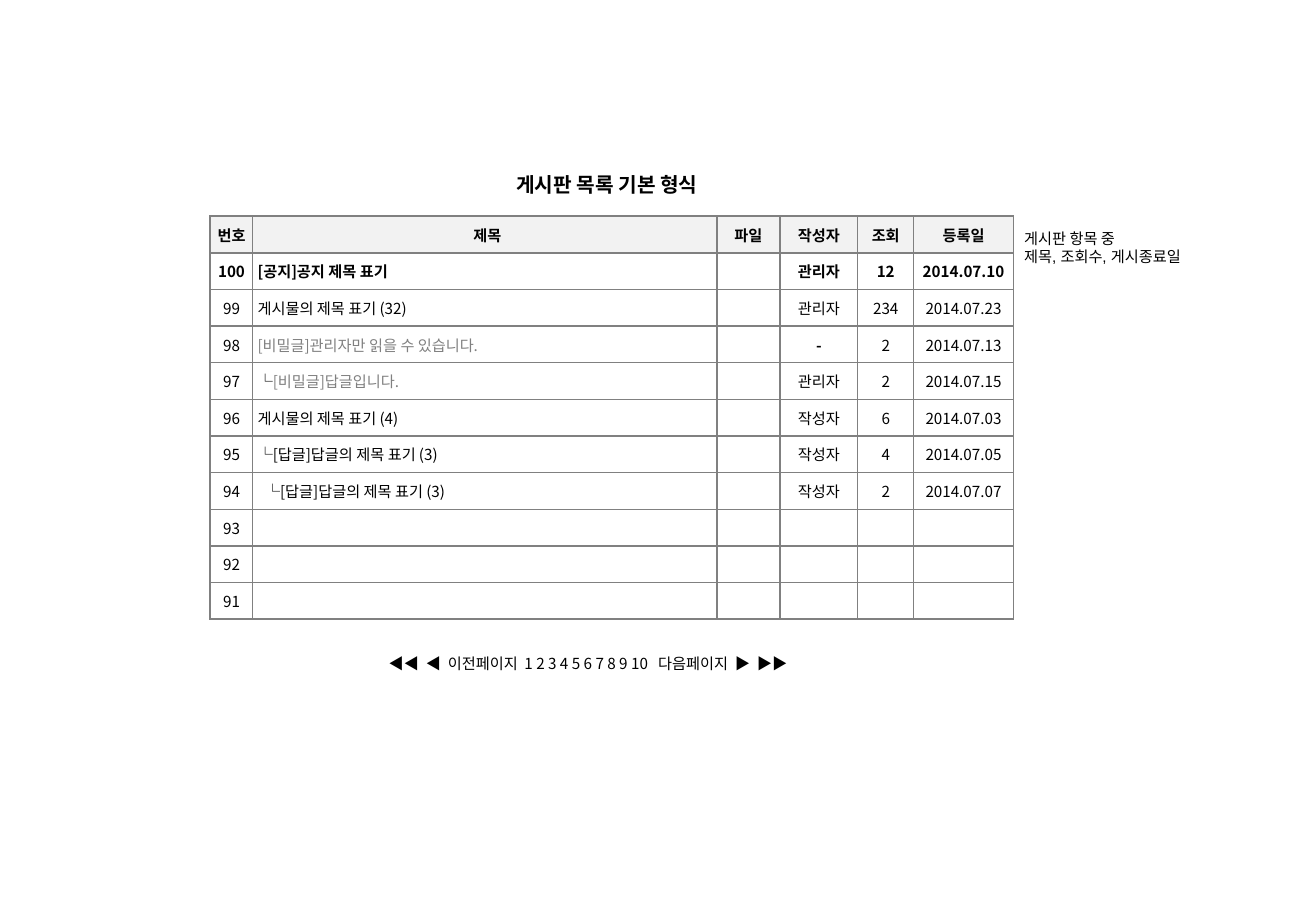
"""Build a slide showing the basic layout of a bulletin board list."""
from dataclasses import dataclass

from lxml import etree
from pptx import Presentation
from pptx.dml.color import RGBColor
from pptx.enum.text import MSO_ANCHOR, MSO_AUTO_SIZE, PP_ALIGN
from pptx.oxml.ns import qn
from pptx.util import Inches, Pt

LEFT, CENTER = PP_ALIGN.LEFT, PP_ALIGN.CENTER
MIDDLE = MSO_ANCHOR.MIDDLE
FIT_SHAPE = MSO_AUTO_SIZE.SHAPE_TO_FIT_TEXT

BLACK = RGBColor(0x00, 0x00, 0x00)
GRAY = RGBColor(0x80, 0x80, 0x80)
HEADER_FILL = RGBColor(0xF2, 0xF2, 0xF2)
WHITE = RGBColor(0xFF, 0xFF, 0xFF)

KOREAN = "Noto Sans CJK KR"
BODY_SIZE = 9
SUBJECT_COLUMN = 1
REPLY_MARK = "└"


@dataclass(frozen=True)
class Caption:
    lines: tuple[str, ...]
    left: float
    top: float
    width: float
    height: float
    size: int = BODY_SIZE
    bold: bool = False
    latin: str = KOREAN
    spacing: float = 1.3


@dataclass(frozen=True)
class Post:
    number: str
    subject: str = ""
    author: str = ""
    views: str = ""
    date: str = ""
    depth: int = 0
    secret: bool = False
    notice: bool = False


CAPTIONS = (
    Caption(("게시판 목록 기본 형식",), 4.15, 1.31, 1.9, 0.36, size=12, bold=True),
    Caption(("◀◀  ◀  이전페이지  1 2 3 4 5 6 7 8 9 10   다음페이지  ▶  ▶▶",),
            3.1, 5.29, 4, 0.3),
    Caption(("게시판 항목 중", "제목, 조회수, 게시종료일"),
            8.33, 1.84, 1.61, 0.4, latin="Arial", spacing=1.0),
)

HEADINGS = ("번호", "제목", "파일", "작성자", "조회", "등록일")
COLUMN_WIDTHS = (0.35, 3.82, 0.52, 0.64, 0.46, 0.82)
TABLE_LEFT, TABLE_TOP, TABLE_HEIGHT = 1.73, 1.78, 3.32

POSTS = (
    Post("100", "[공지]공지 제목 표기", "관리자", "12", "2014.07.10", notice=True),
    Post("99", "게시물의 제목 표기 (32)", "관리자", "234", "2014.07.23"),
    Post("98", "[비밀글]관리자만 읽을 수 있습니다.", "-", "2", "2014.07.13", secret=True),
    Post("97", "[비밀글]답글입니다.", "관리자", "2", "2014.07.15", depth=1, secret=True),
    Post("96", "게시물의 제목 표기 (4)", "작성자", "6", "2014.07.03"),
    Post("95", "[답글]답글의 제목 표기 (3)", "작성자", "4", "2014.07.05", depth=1),
    Post("94", "[답글]답글의 제목 표기 (3)", "작성자", "2", "2014.07.07", depth=2),
    Post("93"),
    Post("92"),
    Post("91"),
)


def style_paragraph(paragraph, size: int, bold: bool = False, latin: str = KOREAN) -> None:
    font = paragraph.font
    font.size, font.bold, font.name = Pt(size), bold, latin
    font.color.rgb = BLACK
    east_asian = etree.Element(qn("a:ea"), typeface=KOREAN)
    font._element.find(qn("a:latin")).addnext(east_asian)


def add_caption(slide, caption: Caption) -> None:
    box = slide.shapes.add_textbox(Inches(caption.left), Inches(caption.top),
                                   Inches(caption.width), Inches(caption.height))
    frame = box.text_frame
    frame.word_wrap = False
    frame.auto_size = FIT_SHAPE
    frame.text = "\n".join(caption.lines)
    for paragraph in frame.paragraphs:
        paragraph.line_spacing = caption.spacing
        style_paragraph(paragraph, caption.size, caption.bold, caption.latin)


def draw_borders(cell) -> None:
    properties = cell._tc.get_or_add_tcPr()
    for position, side in enumerate(("a:lnL", "a:lnR", "a:lnT", "a:lnB")):
        line = etree.Element(qn(side), w=str(Pt(1)))
        fill = etree.SubElement(line, qn("a:solidFill"))
        etree.SubElement(fill, qn("a:srgbClr"), val=str(GRAY))
        properties.insert(position, line)


def fill_cell(cell, text: str, align: PP_ALIGN, bold: bool = False,
              fill: RGBColor = WHITE, left_margin: float = 0) -> None:
    cell.margin_left = Inches(left_margin)
    cell.margin_right = cell.margin_top = cell.margin_bottom = 0
    cell.vertical_anchor = MIDDLE
    cell.fill.solid()
    cell.fill.fore_color.rgb = fill
    draw_borders(cell)
    paragraph = cell.text_frame.paragraphs[0]
    paragraph.alignment = align
    style_paragraph(paragraph, BODY_SIZE, bold)
    if text:
        paragraph.add_run().text = text
    else:
        etree.SubElement(paragraph._p, qn("a:endParaRPr"), sz=str(BODY_SIZE * 100))


def fill_subject(cell, post: Post) -> None:
    indent = 0.04 + 0.06 * max(post.depth - 1, 0)
    mark = REPLY_MARK if post.depth else ""
    if not post.secret:
        fill_cell(cell, mark + post.subject, LEFT, post.notice, left_margin=indent)
        return
    fill_cell(cell, mark, LEFT, left_margin=indent)
    subject = cell.text_frame.paragraphs[0].add_run()
    subject.text = post.subject
    subject.font.color.rgb = GRAY


def add_board(slide) -> None:
    row_count = len(POSTS) + 1
    board = slide.shapes.add_table(
        row_count, len(HEADINGS), Inches(TABLE_LEFT), Inches(TABLE_TOP),
        Inches(sum(COLUMN_WIDTHS)), Inches(TABLE_HEIGHT)).table
    board.first_row = board.horz_banding = False
    for column, width in zip(board.columns, COLUMN_WIDTHS):
        column.width = Inches(width)
    for row in board.rows:
        row.height = Inches(TABLE_HEIGHT / row_count)

    for column, heading in enumerate(HEADINGS):
        margin = 0.04 if column == SUBJECT_COLUMN else 0
        fill_cell(board.cell(0, column), heading, CENTER, True, HEADER_FILL, margin)
    for row, post in enumerate(POSTS, start=1):
        values = (post.number, post.subject, "", post.author, post.views, post.date)
        for column, value in enumerate(values):
            cell = board.cell(row, column)
            if column == SUBJECT_COLUMN:
                fill_subject(cell, post)
            else:
                fill_cell(cell, value, CENTER, post.notice or value == "-")


def main() -> None:
    deck = Presentation()
    deck.slide_width, deck.slide_height = Inches(10.83), Inches(7.5)
    slide = deck.slides.add_slide(deck.slide_layouts[6])
    add_board(slide)
    for caption in CAPTIONS:
        add_caption(slide, caption)
    deck.save("out.pptx")


if __name__ == "__main__":
    main()
